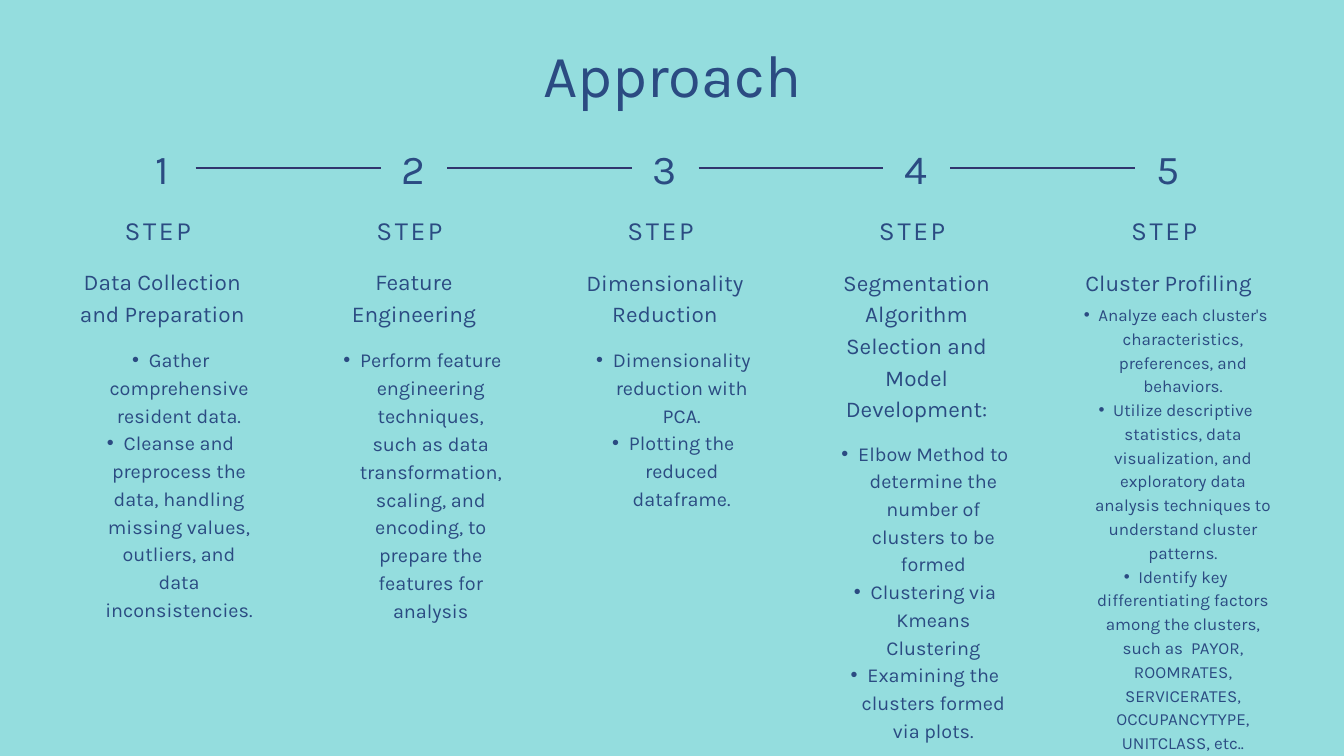
import pptx
import pptx.util
import pptx.dml.color
import pptx.enum.shapes
import pptx.enum.text
import pptx.oxml.ns
from lxml import etree

Inches, Pt = pptx.util.Inches, pptx.util.Pt
RGB = pptx.dml.color.RGBColor
qn = pptx.oxml.ns.qn

AQUA = RGB(0x94, 0xDD, 0xDE)
BLUE = RGB(0x2B, 0x4B, 0x82)
NAVY = RGB(0x31, 0x35, 0x6E)
FACE = "Karla"

FIRST, PITCH, SIDE = 1.92, 3.7425, 0.99  # number cells along the timeline

# left, width, heading top, heading height, heading, size,
# list top, list height, list size, indent, bullets
STEPS = [
    (1.06, 2.71, 3.92, 0.9, "Data Collection and Preparation", 24.2,
     5.12, 4.08, 21.2, 0.5,
     ["Gather comprehensive resident data.",
      "Cleanse and preprocess the data, handling missing values, outliers, "
      "and data inconsistencies."]),
    (4.83, 2.66, 3.92, 0.91, "Feature Engineering", 24.3,
     5.12, 4.04, 21.3, 0.5,
     ["Perform feature engineering techniques, such as data transformation, "
      "scaling, and encoding, to prepare the features for analysis"]),
    (8.54, 2.71, 3.93, 0.9, "Dimensionality Reduction", 24.2,
     5.12, 2.83, 21.2, 0.5,
     ["Dimensionality reduction with PCA.",
      "Plotting the reduced dataframe."]),
    (12.16, 2.96, 3.93, 2.29,
     "Segmentation Algorithm Selection and Model Development:", 24.2,
     6.51, 4.87, 21.2, 0.5,
     ["Elbow Method to determine the number of clusters to be formed",
      "Clustering via Kmeans Clustering",
      "Examining the clusters formed via plots."]),
    (15.83, 3.12, 3.93, 0.43, "Cluster Profiling", 24.2,
     4.48, 6.51, 18.2, 0.43,
     ["Analyze each cluster's characteristics, preferences, and behaviors.",
      "Utilize descriptive statistics, data visualization, and exploratory "
      "data analysis techniques to understand cluster patterns.",
      "Identify key differentiating factors among the clusters, such as  "
      "PAYOR, ROOMRATES, SERVICERATES, OCCUPANCYTYPE, UNITCLASS, etc.."]),
]


def add_bullet(para, indent):
    para.level = 1
    props = para._p.get_or_add_pPr()
    props.set("marL", str(Inches(indent)))
    props.set("indent", str(-Inches(indent / 2)))
    etree.SubElement(props, qn("a:buFont")).set("typeface", "Arial")
    etree.SubElement(props, qn("a:buChar")).set("char", "•")


def add_text(slide, box, lines, size, lead, track=0, indent=0, middle=False):
    """Add centred text; lead is line spacing and track letter spacing, in points."""
    frame = slide.shapes.add_textbox(*map(Inches, box)).text_frame
    frame.word_wrap = True
    frame.margin_left = frame.margin_right = 0
    frame.margin_top = frame.margin_bottom = 0
    if middle:
        frame.vertical_anchor = pptx.enum.text.MSO_ANCHOR.MIDDLE
    frame.text = "\n".join(lines)
    for para in frame.paragraphs:
        para.alignment = pptx.enum.text.PP_ALIGN.CENTER
        para.line_spacing = Pt(lead)
        if indent:
            add_bullet(para, indent)
        para.font.name = FACE
        para.font.size = Pt(size)
        para.font.color.rgb = BLUE
        if track:
            for run in para.runs:
                run._r.get_or_add_rPr().set("spc", str(round(track * 100)))


def add_cell(slide, left):
    cell = slide.shapes.add_shape(
        pptx.enum.shapes.MSO_SHAPE.RECTANGLE,
        *map(Inches, (left, 2.01, SIDE, 0.97)))
    cell.shadow.inherit = False
    cell.fill.solid()
    cell.fill.fore_color.rgb = AQUA
    cell.line.fill.background()
    return cell


def add_link(slide, start, end, prior, cell):
    link = slide.shapes.add_connector(
        pptx.enum.shapes.MSO_CONNECTOR.STRAIGHT,
        Inches(start), Inches(2.495), Inches(end), Inches(2.495))
    link.line.color.rgb = NAVY
    link.line.width = Pt(2.25)
    etree.SubElement(link._element.spPr, qn("a:effectLst"))
    if prior is not None:
        link.begin_connect(prior, 3)
    link.end_connect(cell, 1)


def add_track(slide):
    """Add the numbers and the lines that join them."""
    prior = None
    for num in range(len(STEPS)):
        left = FIRST + num * PITCH
        if num:
            cell = add_cell(slide, left)
            add_link(slide, left - PITCH + SIDE, left, prior, cell)
            prior = cell
        add_text(slide, (left, 1.91, 0.98, 1.07), [str(num + 1)],
                 44, 61.6, track=7.5, middle=True)


def add_step(slide, left, width, top, height, head, size,
             low, depth, small, indent, points):
    add_text(slide, (left, 3.11, width, 0.51), ["STEP "], 28.2, 39.5, track=2.8)
    add_text(slide, (left, top, width, height), [head], size, size * 1.4)
    add_text(slide, (left, low, width, depth), points, small, small * 1.4,
             indent=indent)


def main():
    deck = pptx.Presentation()
    deck.slide_width, deck.slide_height = Inches(20), Inches(11.25)
    slide = deck.slides.add_slide(deck.slide_layouts[6])
    slide.background.fill.solid()
    slide.background.fill.fore_color.rgb = AQUA
    add_text(slide, (1.18, 0.69, 17.65, 0.97), ["Approach"], 64, 67.2)
    add_track(slide)
    for step in STEPS:
        add_step(slide, *step)
    deck.save("out.pptx")


if __name__ == "__main__":
    main()
